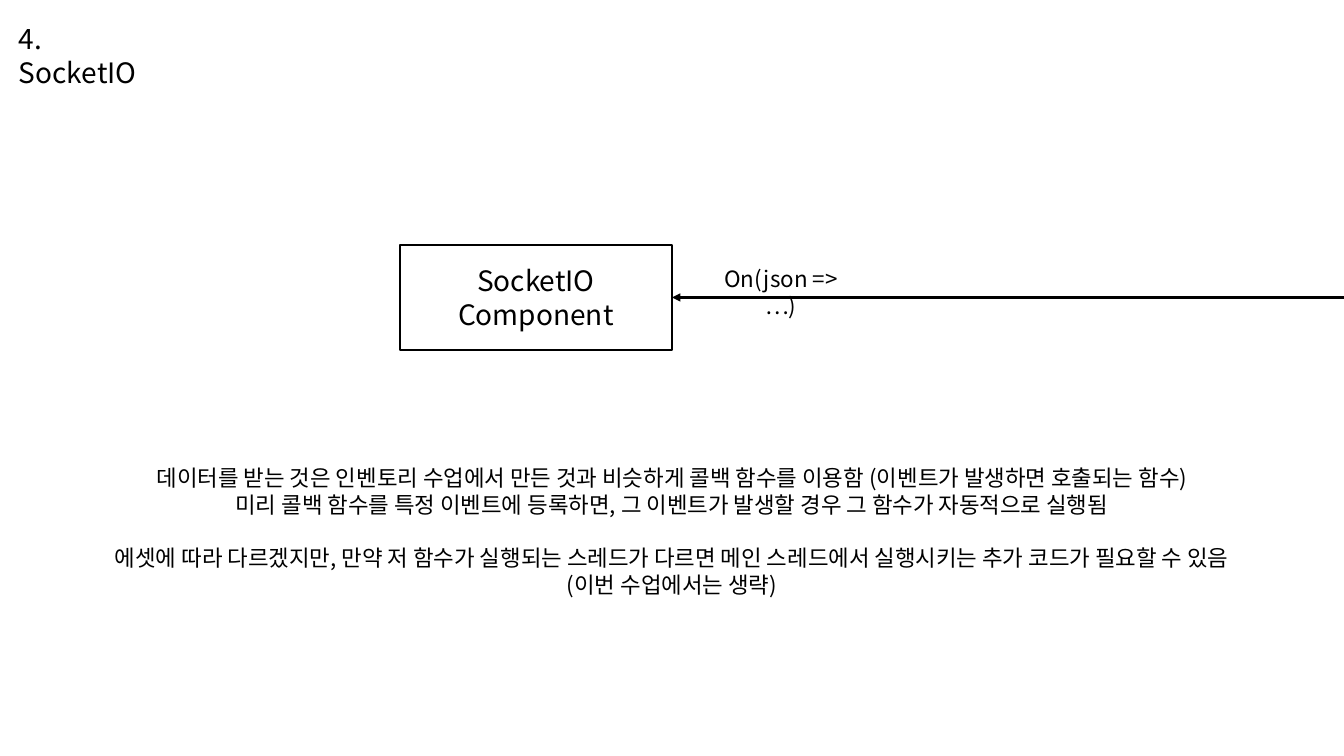
"""Build the SocketIO receiving slide."""
import pptx
import pptx.dml.color
import pptx.enum.shapes
import pptx.enum.text
import pptx.oxml.ns
import pptx.util
from lxml import etree

PX = 914400 / 100.8
W, H = 1344, 756
FONT = "Noto Sans CJK KR"
BLACK, WHITE = "000000", "FFFFFF"
LINE_PT = 1.5

TITLE = ["4. SocketIO"]
COMPONENT = ["SocketIO", "Component"]
CALLBACK = ["On(json => …)"]
RECEIVING = [
    "데이터를 받는 것은 인벤토리 수업에서 만든 것과 비슷하게 콜백 함수를 이용함 (이벤트가 발생하면 호출되는 함수)",
    "미리 콜백 함수를 특정 이벤트에 등록하면, 그 이벤트가 발생할 경우 그 함수가 자동적으로 실행됨",
]
THREADING = [
    "에셋에 따라 다르겠지만, 만약 저 함수가 실행되는 스레드가 다르면 메인 스레드에서 실행시키는 추가 코드가 필요할 수 있음",
    "(이번 수업에서는 생략)",
]
TITLE_BOX = (9, 17, 160, 44)
COMPONENT_BOX = (400, 245, 272, 105)
NOTES_BOX = (102, 459, 1140, 146)
CALLBACK_BOX = (700, 260, 162, 37)


def px(*values):
    return [round(v * PX) for v in values]


def color(value):
    return pptx.dml.color.RGBColor.from_string(value)


def write(sp, lines, size=16, align="CENTER", anchor="TOP", gaps=None):
    tf = sp.text_frame
    tf.word_wrap = True
    tf.vertical_anchor = getattr(pptx.enum.text.MSO_ANCHOR, anchor)
    for i, line in enumerate(lines):
        p = tf.paragraphs[0] if i == 0 else tf.add_paragraph()
        p.alignment = getattr(pptx.enum.text.PP_ALIGN, align)
        if gaps and i in gaps:
            p.space_before = pptx.util.Pt(gaps[i])
        r = p.add_run()
        r.text = line
        r.font.size = pptx.util.Pt(size)
        r.font.name = FONT
        r.font.color.rgb = color(BLACK)
        ea = etree.SubElement(r.font._element, pptx.oxml.ns.qn("a:ea"))
        ea.set("typeface", FONT)


def outline(sp):
    sp.line.color.rgb = color(BLACK)
    sp.line.width = pptx.util.Pt(LINE_PT)


def add_arrow(s, start, end):
    sp = s.shapes.add_connector(
        pptx.enum.shapes.MSO_CONNECTOR.STRAIGHT, *px(*start, *end))
    outline(sp)
    ln = sp.line._get_or_add_ln()
    etree.SubElement(ln, pptx.oxml.ns.qn("a:tailEnd"), type="triangle")
    etree.SubElement(sp._element.spPr, pptx.oxml.ns.qn("a:effectLst"))


def main():
    prs = pptx.Presentation()
    prs.slide_width, prs.slide_height = px(W, H)
    s = prs.slides.add_slide(prs.slide_layouts[6])

    write(s.shapes.add_textbox(*px(*TITLE_BOX)), TITLE, size=20, align="LEFT")

    sp = s.shapes.add_shape(
        pptx.enum.shapes.MSO_SHAPE.RECTANGLE, *px(*COMPONENT_BOX))
    sp.shadow.inherit = False
    sp.fill.solid()
    sp.fill.fore_color.rgb = color(WHITE)
    outline(sp)
    write(sp, COMPONENT, size=20, anchor="MIDDLE")

    write(s.shapes.add_textbox(*px(*NOTES_BOX)), RECEIVING + THREADING,
          gaps={len(RECEIVING): 19})
    write(s.shapes.add_textbox(*px(*CALLBACK_BOX)), CALLBACK)

    left, top, width, height = COMPONENT_BOX
    middle = top + height / 2
    add_arrow(s, (W, middle), (left + width, middle))
    prs.save("out.pptx")


if __name__ == "__main__":
    main()
